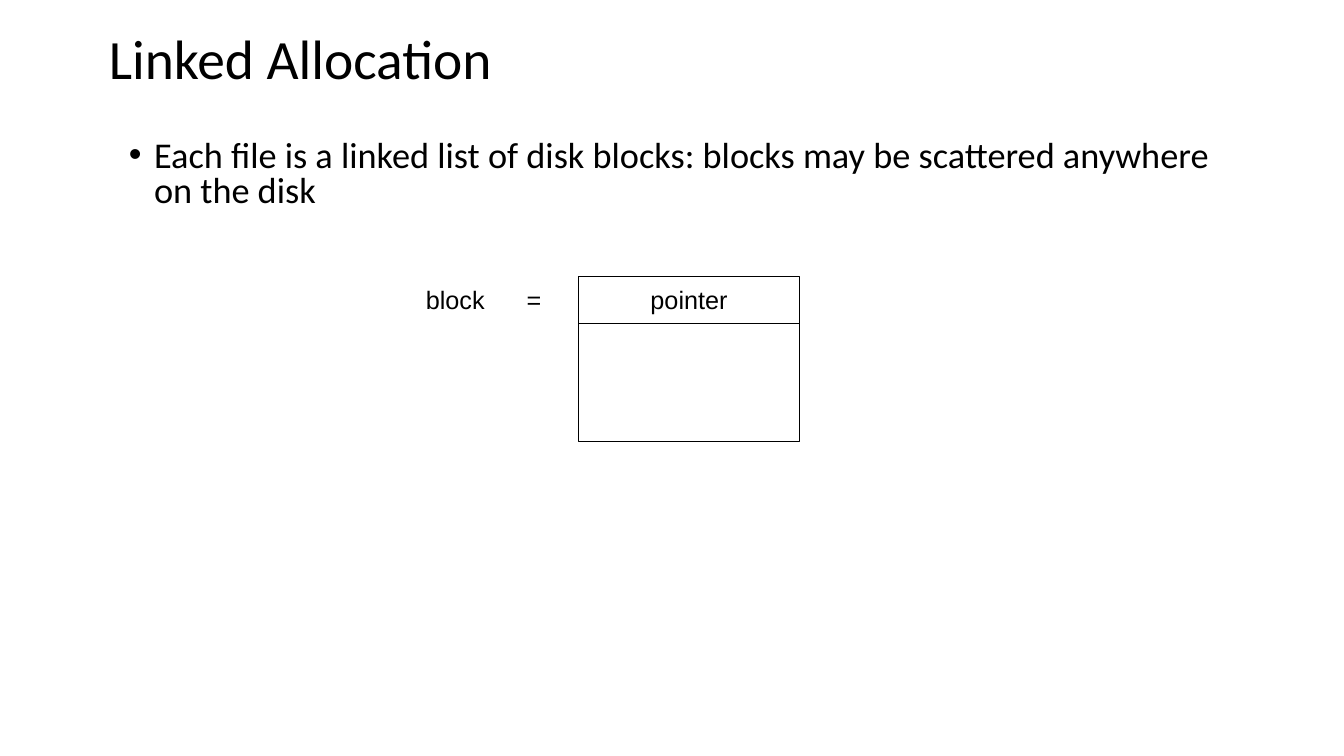
from lxml.etree import SubElement
from pptx import Presentation
from pptx.dml.color import RGBColor
from pptx.enum.shapes import MSO_SHAPE as Preset
from pptx.enum.text import MSO_ANCHOR as Anchor, MSO_AUTO_SIZE as AutoSize, PP_ALIGN as Align
from pptx.oxml.ns import qn
from pptx.util import Inches, Pt

WIDTH, HEIGHT = Inches(13.33), Inches(7.5)
BLACK, WHITE = "000000", "FFFFFF"
BLOCK_LEFT, BLOCK_TOP, BLOCK_WIDTH = 43.05, 36.53, 16.43
POINTER_HEIGHT, DATA_HEIGHT = 6.27, 15.6


def color(value):
    """Turn a hex string into a colour."""
    return RGBColor.from_string(value)


def area(left, top, width, height):
    """Turn percentages of the slide into lengths."""
    return [round(share * side / 100)
            for share, side in zip((left, top, width, height), (WIDTH, HEIGHT) * 2)]


def assign(target, values):
    """Set each named attribute on the target."""
    for name, value in values.items():
        setattr(target, name, value)


def write(shape, text, size, font="Calibri", anchor=Anchor.TOP, **layout):
    """Fill a shape with one formatted paragraph."""
    frame = shape.text_frame
    assign(frame, {"auto_size": AutoSize.NONE, "word_wrap": True, "vertical_anchor": anchor})
    paragraph = frame.paragraphs[0]
    assign(paragraph, {"alignment": Align.LEFT, **layout})
    run = paragraph.add_run()
    assign(run, {"text": text})
    assign(run.font, {"size": Pt(size), "name": font})
    run.font.color.rgb = color(BLACK)


def add_bullet(slide, text, *box):
    """Add a text box with one bulleted paragraph."""
    shape = slide.shapes.add_textbox(*area(*box))
    properties = shape.text_frame.paragraphs[0]._p.get_or_add_pPr()
    properties.set("marL", str(Inches(0.25)))
    properties.set("indent", str(-Inches(0.25)))
    SubElement(properties, qn("a:buFont"), typeface="Arial")
    SubElement(properties, qn("a:buChar"), char="•")
    write(shape, text, 25.9, line_spacing=0.8)


def add_label(slide, text, tab, *box):
    """Add a label whose parts are set apart by a tab stop."""
    shape = slide.shapes.add_textbox(*area(*box))
    properties = shape.text_frame.paragraphs[0]._p.get_or_add_pPr()
    stops = SubElement(properties, qn("a:tabLst"))
    SubElement(stops, qn("a:tab"), pos=str(Inches(tab)), algn="l")
    write(shape, text, 18, "Arial", Anchor.MIDDLE)


def add_cell(slide, *box):
    """Add a white rectangle with a thin black outline."""
    shape = slide.shapes.add_shape(Preset.RECTANGLE, *area(*box))
    shape.shadow.inherit = False
    shape.fill.solid()
    shape.fill.fore_color.rgb = color(WHITE)
    shape.line.color.rgb = color(BLACK)
    shape.line.width = Pt(0.75)
    return shape


def main():
    """Build and save the slide."""
    presentation = Presentation()
    assign(presentation, {"slide_width": WIDTH, "slide_height": HEIGHT})
    slide = presentation.slides.add_slide(presentation.slide_layouts[5])

    title = slide.shapes.title
    assign(title, dict(zip(("left", "top", "width", "height"), area(7.35, 4, 87.7, 8.4))))
    write(title, "Linked Allocation", 39.6, anchor=Anchor.MIDDLE, line_spacing=0.9)

    add_bullet(slide, "Each file is a linked list of disk blocks: blocks may be "
               "scattered anywhere on the disk", 8.85, 18, 82.9, 10.93)

    pointer = add_cell(slide, BLOCK_LEFT, BLOCK_TOP, BLOCK_WIDTH, POINTER_HEIGHT)
    write(pointer, "pointer", 18, "Arial", Anchor.MIDDLE, alignment=Align.CENTER)
    add_cell(slide, BLOCK_LEFT, BLOCK_TOP + POINTER_HEIGHT, BLOCK_WIDTH, DATA_HEIGHT)
    add_label(slide, "block\t=", 1, 30.95, 36.93, 10.2, 5.33)

    presentation.save("out.pptx")


if __name__ == "__main__":
    main()
